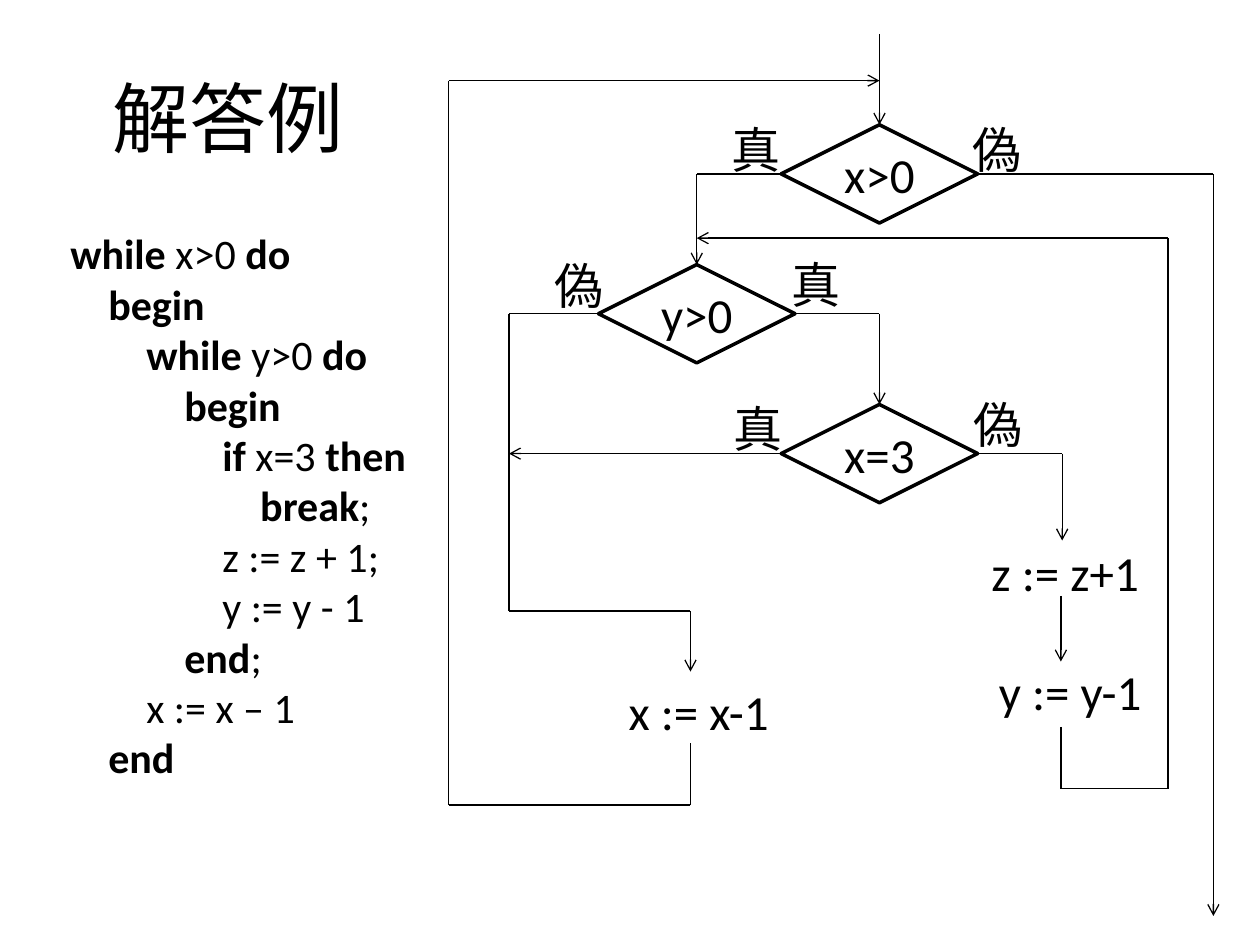
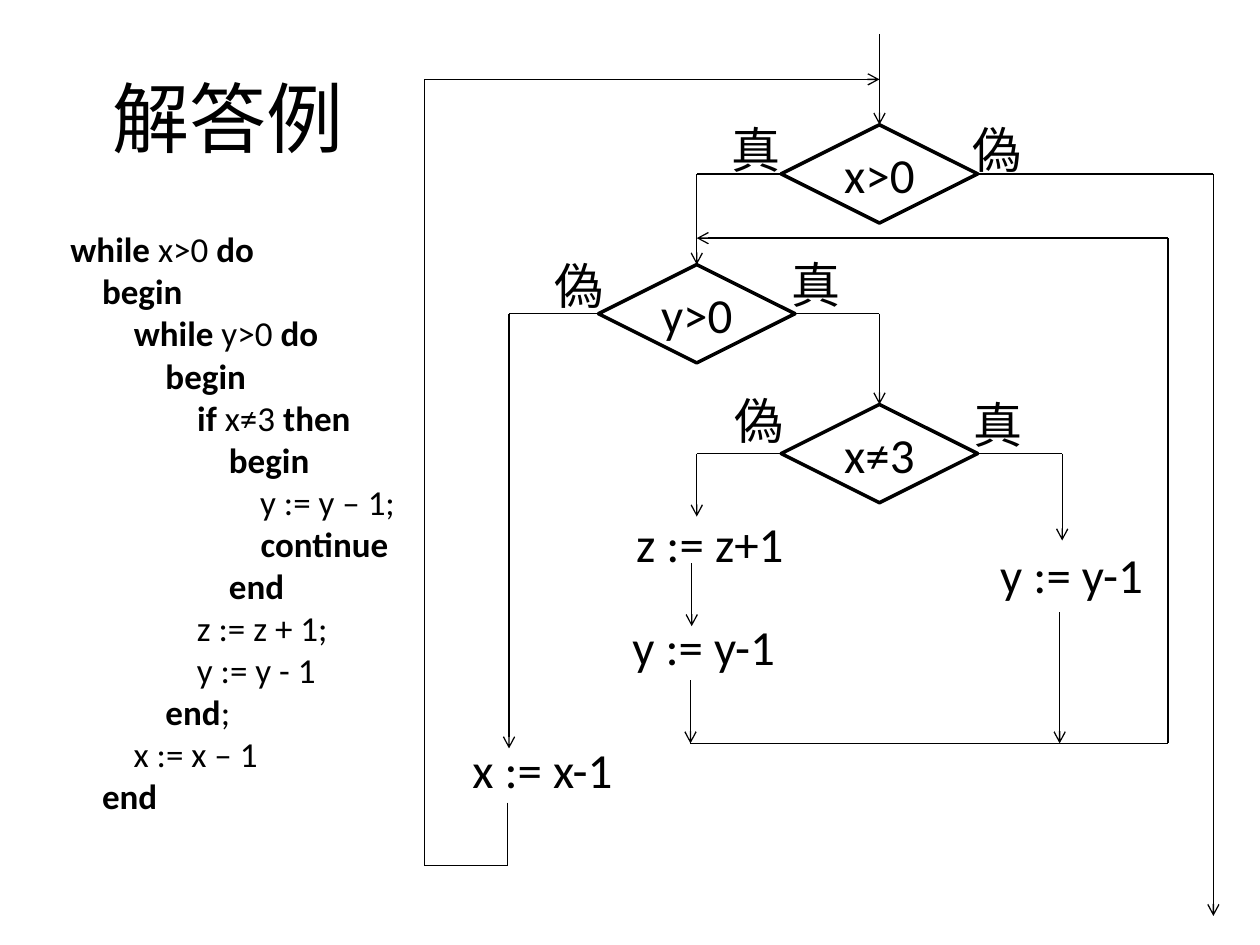
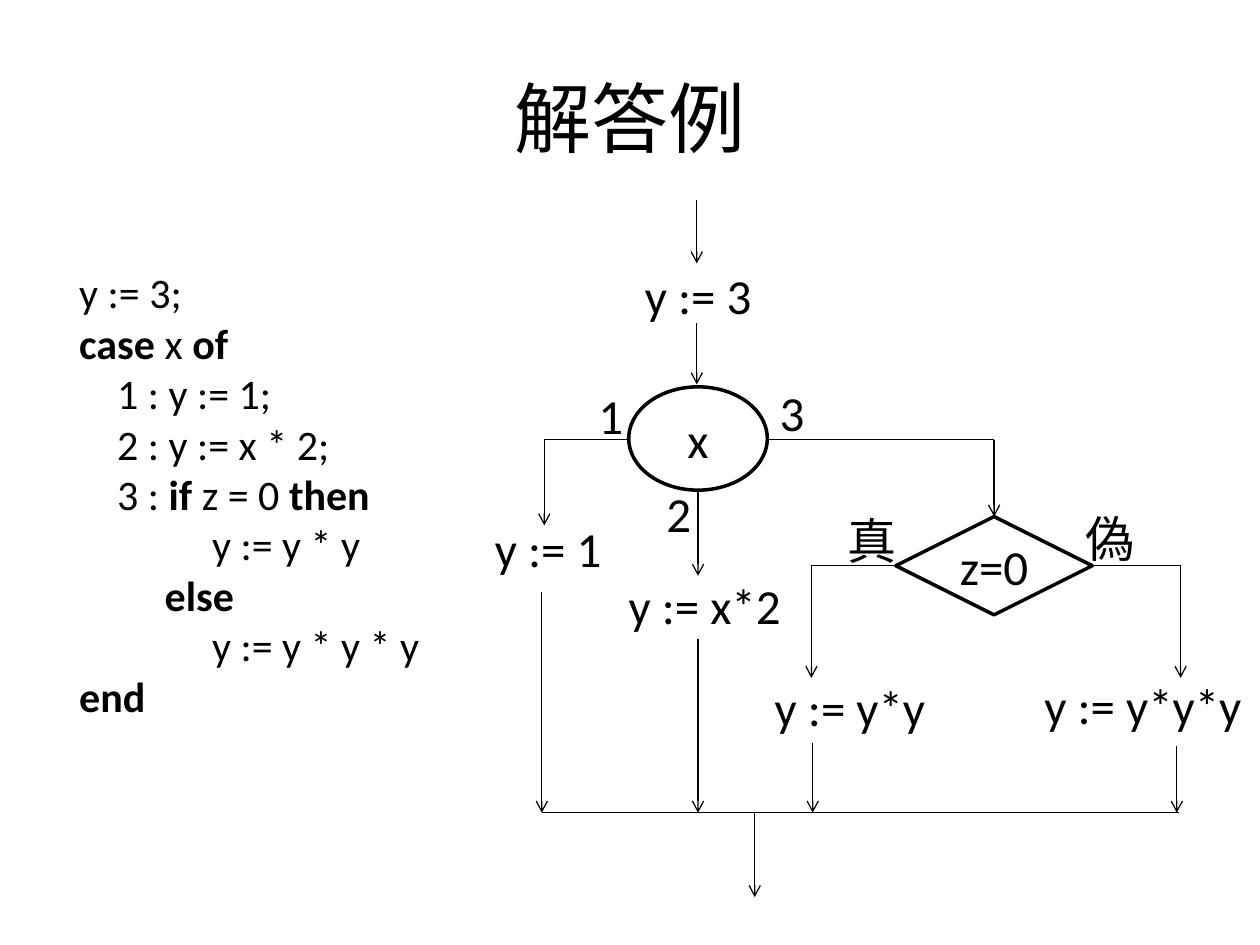
from lxml import etree
from pptx import Presentation
from pptx.dml.color import RGBColor
from pptx.enum.shapes import MSO_CONNECTOR, MSO_SHAPE
from pptx.enum.text import MSO_ANCHOR, MSO_AUTO_SIZE, PP_ALIGN
from pptx.oxml.ns import qn
from pptx.util import Inches, Pt

BLACK = RGBColor(0, 0, 0)
FONT = "Calibri"
TITLE_SIZE, FLOW_SIZE = 44, 28
STRAIGHT = MSO_CONNECTOR.STRAIGHT
DIAMOND, OVAL = MSO_SHAPE.DIAMOND, MSO_SHAPE.OVAL
CENTER, MIDDLE = PP_ALIGN.CENTER, MSO_ANCHOR.MIDDLE
FIT_TEXT = MSO_AUTO_SIZE.SHAPE_TO_FIT_TEXT
TITLE_ONLY = 5
TOP, LEFT, RIGHT = 0, 1, 3
DIAMOND_SIZE = (1.56, 0.78)
LABEL_HEIGHT = 0.57
TRUE, FALSE = "真", "偽"

# Keywords stand between bars.
BREAK_CODE = """\
|while| x>0 |do|
    |begin|
        |while| y>0 |do|
            |begin|
                |if| x=3 |then|
                    |break|;
                z := z + 1;
                y := y - 1
            |end|;
        x := x – 1
    |end|"""

CONTINUE_CODE = """\
|while| x>0 |do|
    |begin|
        |while| y>0 |do|
            |begin|
                |if| x≠3 |then|
                    |begin|
                        y := y – 1;
                        |continue|
                    |end|
                z := z + 1;
                y := y - 1
            |end|;
        x := x – 1
    |end|"""

CASE_CODE = """\
y := 3;
|case| x |of|
    1 : y := 1;
    2 : y := x * 2;
    3 : |if| z = 0 |then|
              y := y * y
         |else|
              y := y * y * y
|end|"""


def style(paragraph, size):
    paragraph.font.name = FONT
    paragraph.font.size = Pt(size)
    paragraph.font.color.rgb = BLACK


def add_titled_slide(presentation, title_width):
    slide = presentation.slides.add_slide(presentation.slide_layouts[TITLE_ONLY])
    title = slide.shapes.title
    title.left, title.top = Inches(0.5), Inches(0.3)
    title.width, title.height = Inches(title_width), Inches(1.25)
    title.text_frame.text = "解答例"
    title.text_frame.vertical_anchor = MIDDLE
    paragraph = title.text_frame.paragraphs[0]
    paragraph.alignment = CENTER
    style(paragraph, TITLE_SIZE)
    return slide


def add_code(slide, code, left, top, width, height, size):
    """Add a listing whose keywords, marked with bars, are bold."""
    box = slide.shapes.add_textbox(Inches(left), Inches(top), Inches(width), Inches(height))
    frame = box.text_frame
    frame.word_wrap = True
    for number, line in enumerate(code.splitlines()):
        paragraph = frame.add_paragraph() if number else frame.paragraphs[0]
        style(paragraph, size)
        for position, part in enumerate(line.split("|")):
            if part:
                run = paragraph.add_run()
                run.text = part
                run.font.bold = position % 2 == 1


def add_label(slide, text, left, top, width=0.59):
    box = slide.shapes.add_textbox(
        Inches(left), Inches(top), Inches(width), Inches(LABEL_HEIGHT))
    frame = box.text_frame
    frame.word_wrap = False
    frame.auto_size = FIT_TEXT
    frame.text = text
    style(frame.paragraphs[0], FLOW_SIZE)


def add_node(slide, kind, text, left, top, width, height):
    node = slide.shapes.add_shape(
        kind, Inches(left), Inches(top), Inches(width), Inches(height))
    node.shadow.inherit = False
    node.fill.background()
    node.line.color.rgb = BLACK
    node.line.width = Pt(2)
    frame = node.text_frame
    frame.word_wrap = False
    frame.vertical_anchor = MIDDLE
    frame.text = text
    frame.paragraphs[0].alignment = CENTER
    style(frame.paragraphs[0], FLOW_SIZE)
    return node


def add_decision(slide, text, left, top):
    return add_node(slide, DIAMOND, text, left, top, *DIAMOND_SIZE)


def add_route(slide, *points, arrow=True, begin=None, end=None):
    """Draw lines through the points; begin and end are (shape, side) joints."""
    for start, stop in zip(points, points[1:]):
        line = slide.shapes.add_connector(
            STRAIGHT, *(Inches(value) for value in start + stop))
        line.line.color.rgb = BLACK
        line.line.width = Pt(0.75)
        if begin and start == points[0]:
            line.begin_connect(*begin)
        if stop == points[-1]:
            if end:
                line.end_connect(*end)
            if arrow:
                etree.SubElement(line.line._get_or_add_ln(), qn("a:tailEnd"), type="arrow")
        etree.SubElement(line._element.spPr, qn("a:effectLst"))


def add_nested_loops(slide, condition):
    """Draw the flow both loop slides share and return the y>0 and inner decisions."""
    outer = add_decision(slide, "x>0", 6.2, 0.99)
    middle = add_decision(slide, "y>0", 4.75, 2.1)
    inner = add_decision(slide, condition, 6.2, 3.21)
    add_label(slide, TRUE, 5.71, 0.9)
    add_label(slide, FALSE, 7.62, 0.9)
    add_label(slide, FALSE, 4.3, 1.98)
    add_label(slide, TRUE, 6.18, 1.97)
    add_route(slide, (6.98, 0.27), (6.98, 0.99), end=(outer, TOP))
    add_route(slide, (7.76, 1.38), (9.63, 1.38), (9.63, 7.27), begin=(outer, RIGHT))
    add_route(slide, (6.2, 1.38), (5.53, 1.38), (5.53, 2.1),
              begin=(outer, LEFT), end=(middle, TOP))
    add_route(slide, (6.31, 2.49), (6.98, 2.49), (6.98, 3.21),
              begin=(middle, RIGHT), end=(inner, TOP))
    add_route(slide, (7.76, 3.6), (8.43, 3.6), (8.43, 4.29), begin=(inner, RIGHT))
    return middle, inner


def build_break_slide(presentation):
    slide = add_titled_slide(presentation, 2.62)
    add_code(slide, BREAK_CODE, 0.46, 1.76, 2.92, 4.54, 24)
    middle, inner = add_nested_loops(slide, "x=3")
    add_label(slide, TRUE, 5.72, 3.11)
    add_label(slide, FALSE, 7.63, 3.08)
    add_label(slide, "z := z+1", 7.77, 4.26, 1.39)
    add_label(slide, "y := y-1", 7.83, 5.2, 1.36)
    add_label(slide, "x := x-1", 4.89, 5.36, 1.34)
    add_route(slide, (8.42, 4.73), (8.42, 5.25))
    add_route(slide, (8.42, 5.77), (8.42, 6.26), (9.27, 6.26), (9.27, 1.89), (5.53, 1.89))
    add_route(slide, (4.75, 2.49), (4.04, 2.49), (4.04, 4.85), (5.48, 4.85), (5.48, 5.33),
              begin=(middle, LEFT))
    add_route(slide, (6.2, 3.6), (4.04, 3.6), begin=(inner, LEFT))
    add_route(slide, (5.48, 5.9), (5.48, 6.39), (3.56, 6.39), (3.56, 0.64), (6.98, 0.64))


def build_continue_slide(presentation):
    slide = add_titled_slide(presentation, 2.62)
    add_code(slide, CONTINUE_CODE, 0.46, 1.76, 2.92, 4.81, 20)
    middle, inner = add_nested_loops(slide, "x≠3")
    add_label(slide, FALSE, 5.73, 3.05)
    add_label(slide, TRUE, 7.63, 3.08)
    add_label(slide, "y := y-1", 7.84, 4.27, 1.36)
    add_label(slide, "z := z+1", 4.95, 4.03, 1.39)
    add_label(slide, "y := y-1", 4.92, 4.84, 1.36)
    add_label(slide, "x := x-1", 3.65, 5.82, 1.34)
    add_route(slide, (6.2, 3.6), (5.53, 3.6), (5.53, 4.1), begin=(inner, LEFT))
    add_route(slide, (5.49, 4.47), (5.49, 4.97))
    add_route(slide, (5.48, 5.4), (5.48, 5.9))
    add_route(slide, (8.41, 4.86), (8.41, 5.9))
    add_route(slide, (5.48, 5.9), (9.27, 5.9), (9.27, 1.89), (5.53, 1.89))
    add_route(slide, (4.75, 2.49), (4.04, 2.49), (4.04, 5.94), begin=(middle, LEFT))
    add_route(slide, (4.03, 6.37), (4.03, 6.87), (3.37, 6.87), (3.37, 0.63), (6.98, 0.63))


def build_case_slide(presentation):
    slide = add_titled_slide(presentation, 9)
    add_code(slide, CASE_CODE, 0.53, 2.07, 3.29, 3.74, 24)
    add_node(slide, OVAL, "x", 4.99, 3.07, 1.1, 0.82)
    decision = add_decision(slide, "z=0", 7.11, 4.1)
    for number, left, top in (("1", 4.65, 3.01), ("2", 5.19, 3.79), ("3", 6.09, 2.99)):
        add_label(slide, number, left, top, 0.4)
    add_label(slide, TRUE, 6.63, 4)
    add_label(slide, FALSE, 8.52, 3.99)
    add_label(slide, "y := 3", 5.02, 2.06, 1.06)
    add_label(slide, "y := 1", 3.83, 4.07, 1.06)
    add_label(slide, "y := x*2", 4.89, 4.52, 1.51)
    add_label(slide, "y := y*y", 6.05, 5.33, 1.41)
    add_label(slide, "y := y*y*y", 8.19, 5.31, 1.78)

    add_route(slide, (5.53, 1.59), (5.53, 2.09))
    add_route(slide, (5.53, 2.56), (5.53, 3.05))
    add_route(slide, (4.99, 3.49), (4.32, 3.49), (4.32, 4.17))
    add_route(slide, (5.54, 3.9), (5.54, 4.57))
    add_route(slide, (6.09, 3.49), (7.89, 3.49), (7.89, 4.1), end=(decision, TOP))
    add_route(slide, (7.11, 4.49), (6.44, 4.49), (6.44, 5.38), begin=(decision, LEFT))
    add_route(slide, (8.67, 4.49), (9.37, 4.49), (9.37, 5.38), begin=(decision, RIGHT))

    merge = 6.45
    for branch, top in ((4.3, 4.7), (5.54, 5.07), (6.45, 5.9), (9.34, 5.92)):
        add_route(slide, (branch, top), (branch, merge))
    add_route(slide, (4.3, merge), (9.36, merge), arrow=False)
    add_route(slide, (5.99, merge), (5.99, 7.12))


def main():
    presentation = Presentation()
    presentation.slide_width, presentation.slide_height = Inches(10), Inches(7.5)
    build_break_slide(presentation)
    build_continue_slide(presentation)
    build_case_slide(presentation)
    presentation.save("out.pptx")


if __name__ == "__main__":
    main()
